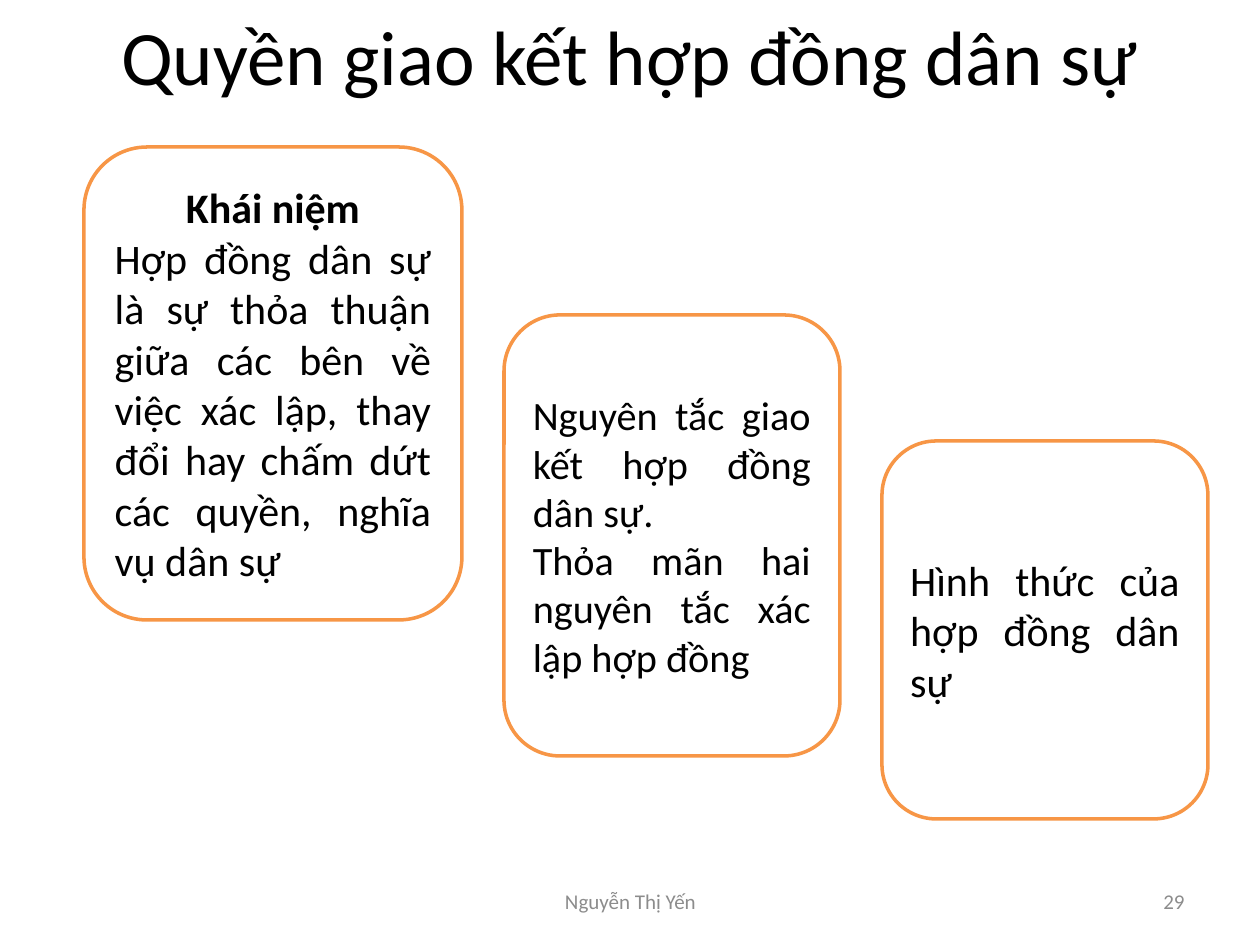
from pptx import Presentation
from pptx.dml.color import RGBColor
from pptx.enum.shapes import MSO_SHAPE as Shape
from pptx.enum.text import MSO_ANCHOR as Anchor, PP_ALIGN as Align
from pptx.util import Emu, Pt

PX_PER_INCH = 126
BLACK, WHITE, GREY, ORANGE = "000000", "FFFFFF", "8C8C8C", "F79646"


def px(length):
    return Emu(round(length * 914400 / PX_PER_INCH))


def color(hex_code):
    return RGBColor.from_string(hex_code)


def write(para, text, size=24, hex_code=BLACK, bold=False, align=Align.JUSTIFY, font="Calibri"):
    para.alignment = align
    span = para.add_run()
    span.text = text
    span.font.name = font
    span.font.size = Pt(size)
    span.font.bold = bold
    span.font.color.rgb = color(hex_code)


class SlideBuilder:
    """Holds the style and the current slide."""
    line_width = Pt(2)

    def __init__(self, deck):
        self.page = deck.slides.add_slide(deck.slide_layouts[5])

    def title(self, text, left, top, width, height):
        box = self.page.shapes.title
        box.left, box.top, box.width, box.height = map(px, (left, top, width, height))
        box.text_frame.vertical_anchor = Anchor.MIDDLE
        write(box.text_frame.paragraphs[0], text, size=44, align=Align.CENTER)

    def footer(self, text, left, top, width, height, align):
        box = self.page.shapes.add_textbox(*map(px, (left, top, width, height)))
        frame = box.text_frame
        frame.word_wrap = True
        frame.vertical_anchor = Anchor.MIDDLE
        write(frame.paragraphs[0], text, size=12, hex_code=GREY, align=align)

    def card(self, paragraphs, left, top, width, height, size=24, heading=None):
        box = self.page.shapes.add_shape(
            Shape.ROUNDED_RECTANGLE, *map(px, (left, top, width, height)))
        box.shadow.inherit = False
        box.fill.solid()
        box.fill.fore_color.rgb = color(WHITE)
        box.line.color.rgb = color(ORANGE)
        box.line.width = self.line_width
        frame = box.text_frame
        frame.word_wrap = True
        frame.vertical_anchor = Anchor.MIDDLE
        para = frame.paragraphs[0]
        if heading:
            write(para, heading, size=size, bold=True, align=Align.CENTER)
            para = frame.add_paragraph()
        for index, text in enumerate(paragraphs):
            write(frame.add_paragraph() if index else para, text, size=size)


def main():
    deck = Presentation()
    deck.slide_width, deck.slide_height = px(1260), px(945)
    slide = SlideBuilder(deck)

    # Title
    slide.title("Quyền giao kết hợp đồng dân sự", 63, 0, 1134, 110)

    # Footer: author and page number
    slide.footer("Nguyễn Thị Yến", 431, 876, 399, 50, Align.CENTER)
    slide.footer("29", 903, 876, 294, 50, Align.RIGHT)

    # Descending cards
    slide.card(["Hợp đồng dân sự là sự thỏa thuận giữa các bên về việc xác lập, "
                "thay đổi hay chấm dứt các quyền, nghĩa vụ dân sự"],
               84, 147, 378, 473, heading="Khái niệm")
    slide.card(["Nguyên tắc giao kết hợp đồng dân sự.",
                "Thỏa mãn hai nguyên tắc xác lập hợp đồng"],
               504, 315, 336, 441, size=23)
    slide.card(["Hình thức của hợp đồng dân sự"], 882, 441, 326, 378)

    deck.save("out.pptx")


if __name__ == "__main__":
    main()
